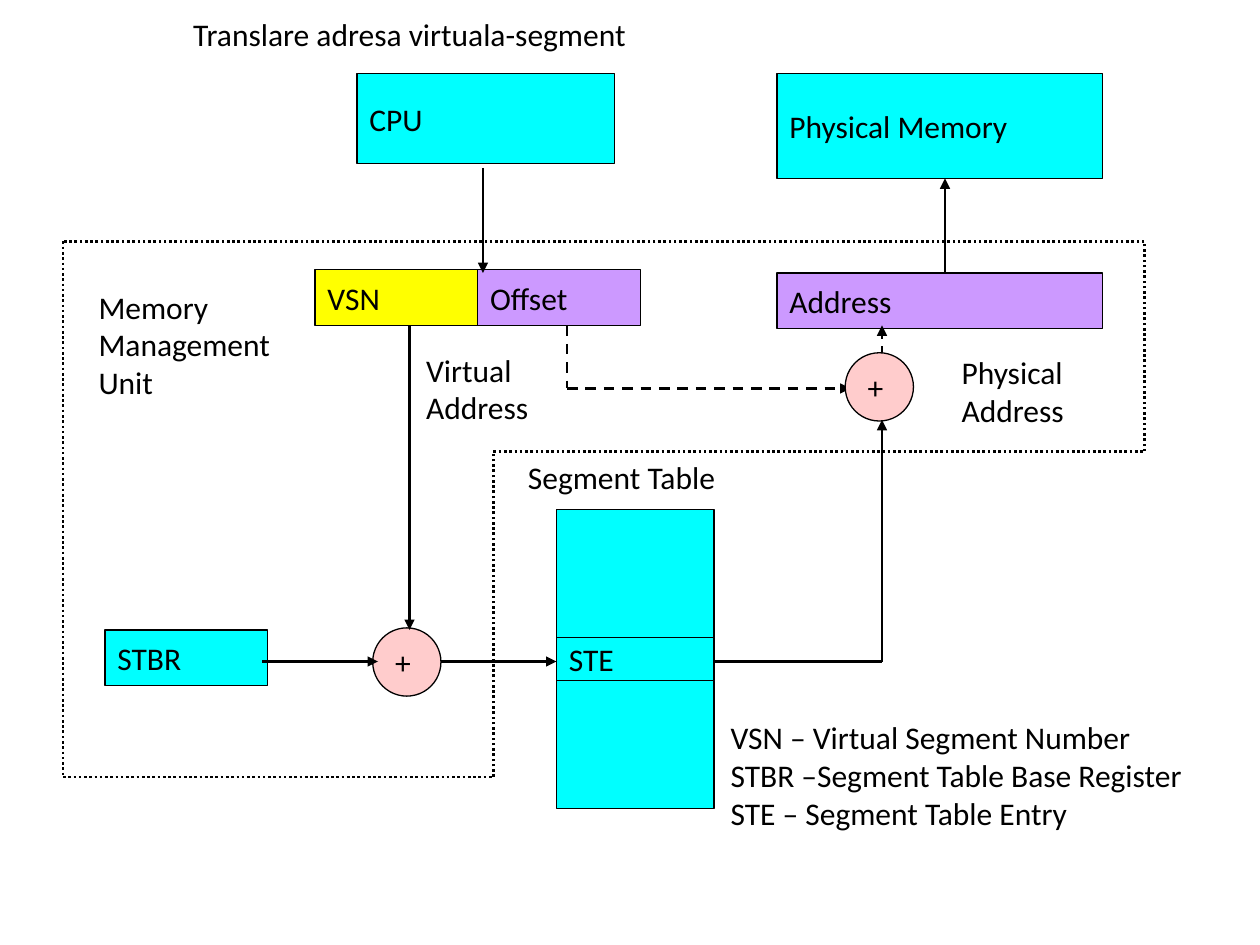
from lxml import etree
from pptx import Presentation
from pptx.dml.color import RGBColor
from pptx.enum.dml import MSO_LINE
from pptx.enum.shapes import MSO_CONNECTOR, MSO_SHAPE
from pptx.enum.text import MSO_ANCHOR, PP_ALIGN
from pptx.oxml.ns import qn
from pptx.util import Inches, Pt

RECTANGLE, OVAL = MSO_SHAPE.RECTANGLE, MSO_SHAPE.OVAL
STRAIGHT = MSO_CONNECTOR.STRAIGHT
DASH, DOTS = MSO_LINE.DASH, MSO_LINE.ROUND_DOT
LEFT, TOP, MIDDLE = PP_ALIGN.LEFT, MSO_ANCHOR.TOP, MSO_ANCHOR.MIDDLE

BLACK = RGBColor(0x00, 0x00, 0x00)
CYAN = RGBColor(0x00, 0xFF, 0xFF)
YELLOW = RGBColor(0xFF, 0xFF, 0x00)
PURPLE = RGBColor(0xCC, 0x99, 0xFF)
PINK = RGBColor(0xFF, 0xCC, 0xCC)

FIELD_WIDTH, FIELD_HEIGHT = 15.5, 5.3
TABLE_LEFT, TABLE_TOP, TABLE_WIDTH = 53, 48.5, 15
ADDER_SIZE = 6.5


def grid(*cells):
    """Turn grid columns or rows, twelve to the inch, into lengths."""
    return [Inches(cell / 12) for cell in cells]


def write_text(shape, text, anchor):
    frame = shape.text_frame
    frame.text = text
    frame.word_wrap = True
    frame.vertical_anchor = anchor
    for paragraph in frame.paragraphs:
        paragraph.alignment = LEFT
        for run in paragraph.runs:
            run.font.name = "Calibri"
            run.font.size = Pt(18)
            run.font.color.rgb = BLACK


def add_block(slide, text, left, top, width, height, color, kind=RECTANGLE):
    shape = slide.shapes.add_shape(kind, *grid(left, top, width, height))
    shape.shadow.inherit = False
    shape.fill.solid()
    shape.fill.fore_color.rgb = color
    shape.line.color.rgb = BLACK
    shape.line.width = Pt(0.75)
    if text:
        write_text(shape, text, MIDDLE)


def add_adder(slide, left, top):
    add_block(slide, "+", left, top, ADDER_SIZE, ADDER_SIZE, PINK, OVAL)


def add_label(slide, text, left, top, width, height):
    box = slide.shapes.add_textbox(*grid(left, top, width, height))
    write_text(box, text, TOP)


def add_path(slide, points, dash=None, arrow=True):
    """Join the points with lines; an arrowhead goes on the last one."""
    for start, end in zip(points, points[1:]):
        connector = slide.shapes.add_connector(STRAIGHT, *grid(*start, *end))
        connector.line.color.rgb = BLACK
        connector.line.width = Pt(1.5)
        if dash:
            connector.line.dash_style = dash
        etree.SubElement(connector._element.spPr, qn("a:effectLst"))
    if arrow:
        line = connector.line._get_or_add_ln()
        etree.SubElement(line, qn("a:tailEnd"), type="triangle")


def add_title(slide, text):
    title = slide.shapes.title
    title.left, title.top, title.width, title.height = grid(17.2, 0.8, 44.4, 4.8)
    write_text(title, text, TOP)


def add_blocks(slide):
    # Processor, memory and registers
    add_block(slide, "CPU", 34, 7, 24.5, 8.6, CYAN)
    add_block(slide, "Physical Memory", 74, 7, 2 * FIELD_WIDTH, 10, CYAN)
    add_block(slide, "VSN", 30, 25.7, FIELD_WIDTH, FIELD_HEIGHT, YELLOW)
    add_block(slide, "Offset", 30 + FIELD_WIDTH, 25.7, FIELD_WIDTH, FIELD_HEIGHT, PURPLE)
    add_block(slide, "Address", 74, 26, 2 * FIELD_WIDTH, FIELD_HEIGHT, PURPLE)
    add_block(slide, "STBR", 10, 60, FIELD_WIDTH, FIELD_HEIGHT, CYAN)

    # Segment table, stacked from top to bottom
    top = TABLE_TOP
    for text, height in (("", 12.2), ("STE", 4.1), ("", 12.2)):
        add_block(slide, text, TABLE_LEFT, top, TABLE_WIDTH, height, CYAN)
        top += height


def add_paths(slide):
    # Solid data paths
    for points in (
        [(25, 63), (36, 63)],
        [(42, 63), (53, 63)],
        [(39, 31), (39, 60)],
        [(90, 26), (90, 17)],
        [(46, 16), (46, 26)],
        [(68, 63), (84, 63), (84, 40)],
    ):
        add_path(slide, points)

    # Dashed offset path
    add_path(slide, [(54, 31), (54, 37), (81, 37)], DASH)
    add_path(slide, [(84, 34), (84, 31)], DASH)

    # Dotted border of the memory management unit
    border = [(6, 23), (6, 74), (47, 74), (47, 43), (109, 43), (109, 23), (6, 23)]
    add_path(slide, border, DOTS, arrow=False)


def add_labels(slide):
    add_label(slide, "Memory\nManagement\nUnit", 8.2, 26.8, 19.8, 13.2)
    add_label(slide, "Segment Table", 49.1, 43, 22.4, 5.2)
    add_label(slide, "Virtual\nAddress", 39.4, 32.8, 13.3, 9.2)
    add_label(slide, "Physical\nAddress", 90.4, 33, 13.7, 9.2)
    add_label(
        slide,
        "VSN – Virtual Segment Number\n"
        "STBR –Segment Table Base Register\n"
        "STE – Segment Table Entry",
        68.4, 67.8, 52.6, 13.2,
    )


def main():
    presentation = Presentation()
    presentation.slide_width, presentation.slide_height = Inches(10), Inches(7.5)
    slide = presentation.slides.add_slide(presentation.slide_layouts[5])
    add_title(slide, "Translare adresa virtuala-segment")
    add_blocks(slide)
    add_adder(slide, 35.5, 59.8)
    add_paths(slide)
    add_labels(slide)
    add_adder(slide, 80.5, 33.6)
    presentation.save("out.pptx")


if __name__ == "__main__":
    main()
